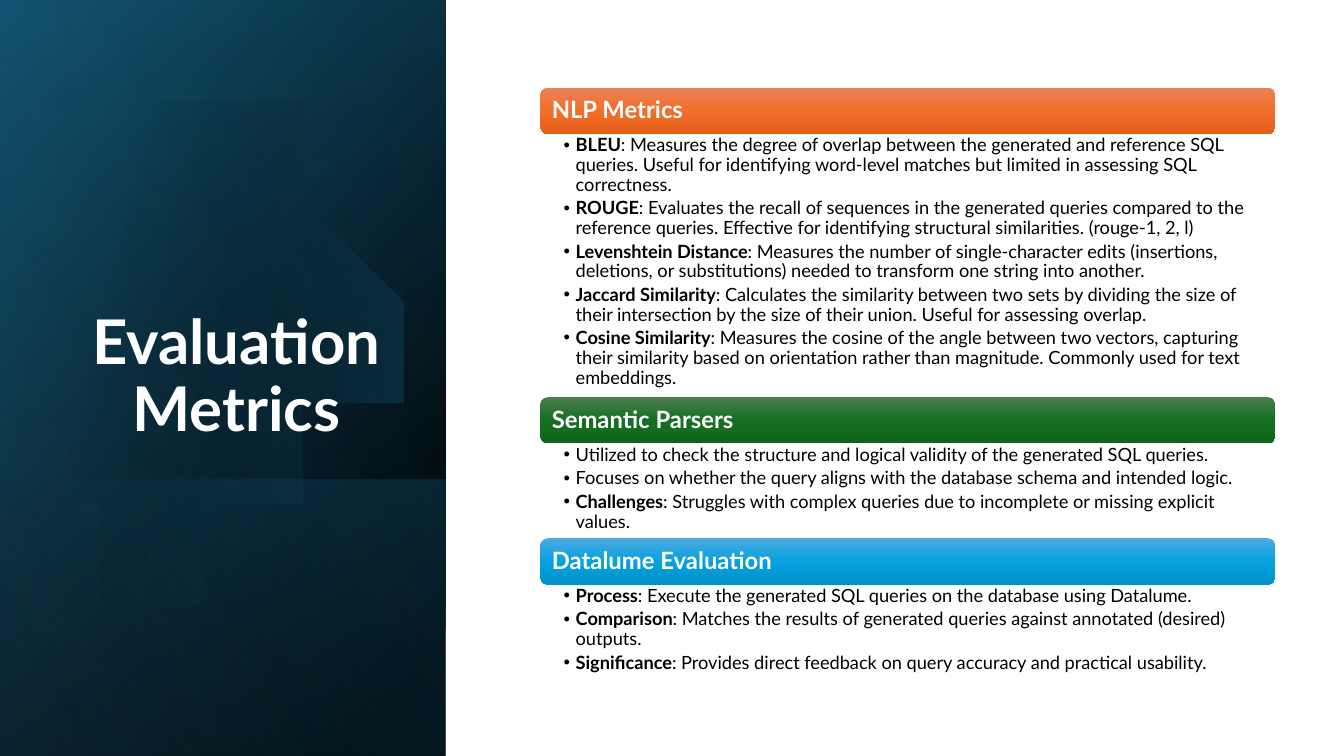
from lxml import etree
from pptx import Presentation
from pptx.dml.color import RGBColor
from pptx.enum.shapes import MSO_SHAPE
from pptx.enum.text import MSO_ANCHOR, MSO_AUTO_SIZE, PP_ALIGN
from pptx.oxml.ns import qn
from pptx.util import Inches, Pt

RECT, ROUNDED = MSO_SHAPE.RECTANGLE, MSO_SHAPE.ROUNDED_RECTANGLE
TOP, MIDDLE, BOTTOM = MSO_ANCHOR.TOP, MSO_ANCHOR.MIDDLE, MSO_ANCHOR.BOTTOM
LEFT, CENTER = PP_ALIGN.LEFT, PP_ALIGN.CENTER

# Content: heading, bar colours, body height, (bold lead, text) bullets
TITLE = "Evaluation Metrics"
SECTIONS = [
    ("NLP Metrics", ("ED8257", "F26E29", "E25F1A"), 2.61, [
        ("BLEU", ": Measures the degree of overlap between the generated and reference SQL queries. "
                 "Useful for identifying word-level matches but limited in assessing SQL correctness."),
        ("ROUGE", ": Evaluates the recall of sequences in the generated queries compared to the "
                  "reference queries. Effective for identifying structural similarities. (rouge-1, 2, l)"),
        ("Levenshtein Distance", ": Measures the number of single-character edits (insertions, "
                                 "deletions, or substitutions) needed to transform one string into another."),
        ("Jaccard Similarity", ": Calculates the similarity between two sets by dividing the size of "
                               "their intersection by the size of their union. Useful for assessing overlap."),
        ("Cosine Similarity", ": Measures the cosine of the angle between two vectors, capturing their "
                              "similarity based on orientation rather than magnitude. "
                              "Commonly used for text embeddings."),
    ]),
    ("Semantic Parsers", ("4D7E50", "156F21", "0F661B"), 0.94, [
        ("", "Utilized to check the structure and logical validity of the generated SQL queries."),
        ("", "Focuses on whether the query aligns with the database schema and intended logic."),
        ("Challenges", ": Struggles with complex queries due to incomplete or missing explicit values."),
    ]),
    ("Datalume Evaluation", ("4CAADF", "05A2DF", "0092CB"), 0.94, [
        ("Process", ": Execute the generated SQL queries on the database using Datalume."),
        ("Comparison", ": Matches the results of generated queries against annotated (desired) outputs."),
        ("Significance", ": Provides direct feedback on query accuracy and practical usability."),
    ]),
]

THEME = {
    "font": "Lato", "white": "FFFFFF", "text": "000000",
    "dark": "000000", "deep": "104862", "teal": "156082", "sky": "46B1E1",
    "title": 44, "heading": 17, "body": 13,
}
DARK, TEAL = THEME["dark"], THEME["teal"]

# Side panel layers: top, height, angle, stops of (position, colour, opacity)
PANEL_WIDTH = 4.42
BASE_LAYERS = [
    (0, 7.5, 50, [(8, DARK, 100), (100, THEME["deep"], 100)]),
    (0, 7.5, 30, [(0, DARK, 0), (99, TEAL, 46)]),
    (4.76, 2.74, 130, [(2, TEAL, 29), (100, DARK, 30)]),
]
DISC_STOPS = [(29, DARK, 0), (100, TEAL, 43)]
SHEEN_LAYER = (0, 7.5, 120, [(0, DARK, 0), (99, THEME["sky"], 11)])

# Disc outline: start point, then curves (three points) and lines (one point)
DISC_START = (1.49, 1.1)
DISC_SEGMENTS = [
    [(2.46, 1.12), (3.35, 1.77), (3.63, 2.75)],
    [(3.98, 3.97), (3.28, 5.23), (2.07, 5.58)],
    [(1.31, 5.8), (0.53, 5.61), (-0.03, 5.14)],
    [(-0.15, 5.03)], [(-0.15, 1.75)], [(0, 1.61)],
    [(0.23, 1.42), (0.5, 1.28), (0.8, 1.19)],
    [(1.03, 1.13), (1.26, 1.1), (1.49, 1.1)],
]

SECTION_LEFT, SECTION_TOP, SECTION_WIDTH, BAR_HEIGHT = 5.36, 0.87, 7.29, 0.46
BULLET_INDENT = 0.12


def paint(shape, stops, angle):
    """Give a shape a linear gradient and no line or shadow."""
    shape.shadow.inherit = False
    shape.line.fill.background()
    shape.fill.gradient()
    gradient = shape._element.spPr.find(qn("a:gradFill"))
    gradient.clear()
    gradient.set("rotWithShape", "1")
    stop_list = etree.SubElement(gradient, qn("a:gsLst"))
    for position, color, opacity in stops:
        stop = etree.SubElement(stop_list, qn("a:gs"), pos=str(position * 1000))
        value = etree.SubElement(stop, qn("a:srgbClr"), val=color)
        if opacity < 100:
            etree.SubElement(value, qn("a:alpha"), val=str(opacity * 1000))
    etree.SubElement(gradient, qn("a:lin"), ang=str(int(angle * 60000)), scaled="0")


def add_layer(page, top, height, angle, stops):
    """Add a panel layer, turned a quarter and mirrored."""
    left = (PANEL_WIDTH - height) / 2
    turned_top = top + (height - PANEL_WIDTH) / 2
    layer = page.shapes.add_shape(RECT, Inches(left), Inches(turned_top),
                                  Inches(height), Inches(PANEL_WIDTH))
    layer.rotation = 90
    layer._element.spPr.find(qn("a:xfrm")).set("flipH", "1")
    paint(layer, stops, angle)


def curve_points(start, first, second, end, steps=24):
    for step in range(1, steps + 1):
        t = step / steps
        weights = ((1 - t) ** 3, 3 * t * (1 - t) ** 2, 3 * t * t * (1 - t), t ** 3)
        yield tuple(sum(w * point[axis] for w, point in zip(weights, (start, first, second, end)))
                    for axis in (0, 1))


def add_disc(page):
    points = [DISC_START]
    for segment in DISC_SEGMENTS:
        points.extend(curve_points(points[-1], *segment) if len(segment) == 3 else segment)
    builder = page.shapes.build_freeform(*points[0], scale=Inches(1))
    builder.add_line_segments(points[1:], close=True)
    paint(builder.convert_to_shape(), DISC_STOPS, 13.9)


def set_frame(shape, anchor, insets):
    formats = {"word_wrap": True, "auto_size": MSO_AUTO_SIZE.NONE, "vertical_anchor": anchor}
    sides = ("margin_left", "margin_top", "margin_right", "margin_bottom")
    formats.update(zip(sides, map(Inches, insets)))
    for name, value in formats.items():
        setattr(shape.text_frame, name, value)
    return shape.text_frame


def write(para, spans, size, color, align=LEFT, after=0):
    """Fill a paragraph with (text, bold) spans."""
    for name, value in {"alignment": align, "line_spacing": 0.9,
                        "space_before": Pt(0), "space_after": Pt(after)}.items():
        setattr(para, name, value)
    for text, bold in spans:
        span = para.add_run()
        span.text = text
        for name, value in {"name": THEME["font"], "size": Pt(size), "bold": bold}.items():
            setattr(span.font, name, value)
        span.font.color.rgb = RGBColor.from_string(color)


def add_bullet(para):
    properties = para._p.get_or_add_pPr()
    properties.set("marL", str(Inches(BULLET_INDENT)))
    properties.set("indent", str(-Inches(BULLET_INDENT)))
    etree.SubElement(properties, qn("a:buFont"), typeface="Arial")
    etree.SubElement(properties, qn("a:buChar"), char="•")


def add_section(page, top, heading, colors, body_height, bullets):
    left, width = Inches(SECTION_LEFT), Inches(SECTION_WIDTH)
    bar = page.shapes.add_shape(ROUNDED, left, Inches(top), width, Inches(BAR_HEIGHT))
    paint(bar, [(at, color, 100) for at, color in zip((0, 50, 100), colors)], 90)
    frame = set_frame(bar, MIDDLE, (0.09, 0.07, 0.09, 0.07))
    write(frame.paragraphs[0], [(heading, True)], THEME["heading"], THEME["white"])

    box = page.shapes.add_textbox(left, Inches(top + BAR_HEIGHT), width, Inches(body_height))
    frame = set_frame(box, TOP, (0.23, 0.02, 0.13, 0.02))
    for index, (lead, text) in enumerate(bullets):
        para = frame.add_paragraph() if index else frame.paragraphs[0]
        spans = [span for span in ((lead, True), (text, False)) if span[0]]
        write(para, spans, THEME["body"], THEME["text"], after=2.8)
        add_bullet(para)


def main():
    deck = Presentation()
    deck.slide_width, deck.slide_height = Inches(13.33), Inches(7.5)
    page = deck.slides.add_slide(deck.slide_layouts[5])

    # Side panel
    for layer in BASE_LAYERS:
        add_layer(page, *layer)
    add_disc(page)
    add_layer(page, *SHEEN_LAYER)

    # Title, brought in front of the panel
    title = page.shapes.title
    for name, value in zip(("left", "top", "width", "height"), (0.64, 1.84, 3.41, 2.62)):
        setattr(title, name, Inches(value))
    frame = set_frame(title, BOTTOM, (0.1, 0.05, 0.1, 0.05))
    write(frame.paragraphs[0], [(TITLE, True)], THEME["title"], THEME["white"], CENTER)
    page.shapes._spTree.append(title._element)

    # Stacked sections
    top = SECTION_TOP
    for section in SECTIONS:
        add_section(page, top, *section)
        top += BAR_HEIGHT + section[2]

    deck.save("out.pptx")


if __name__ == "__main__":
    main()
